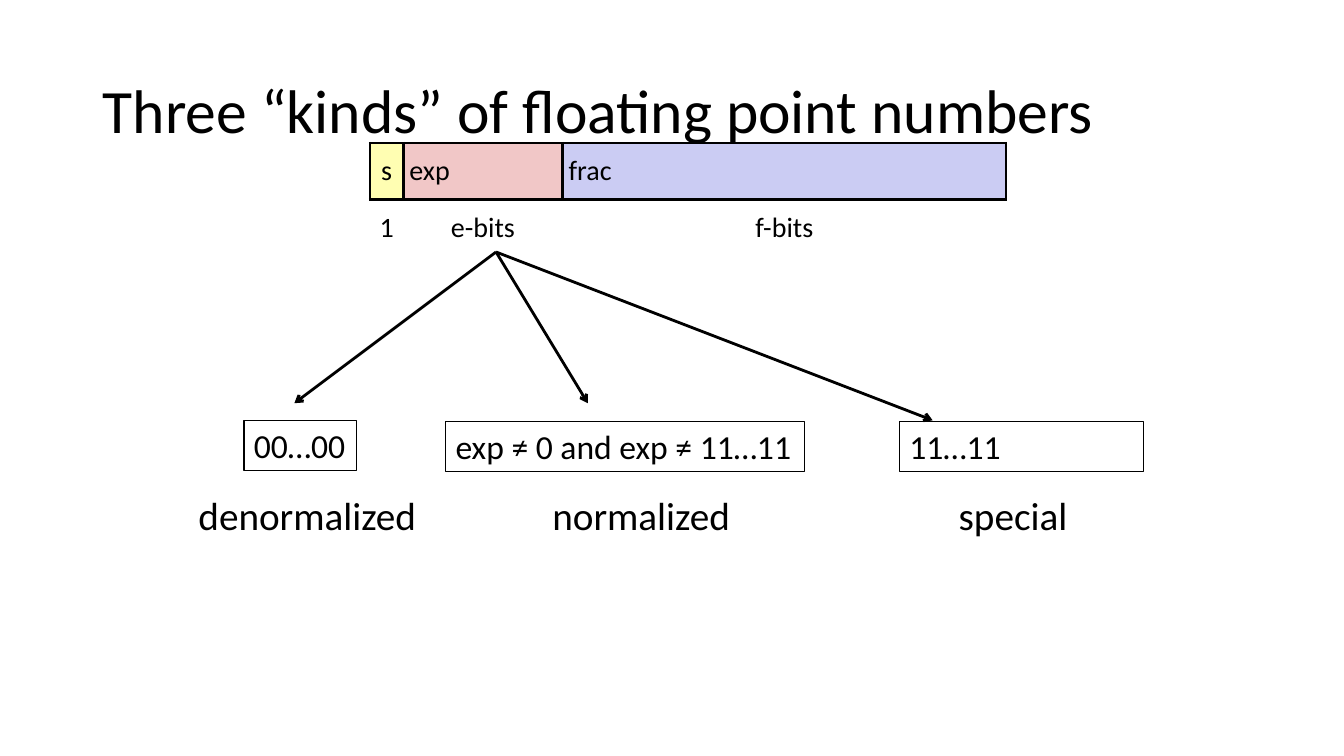
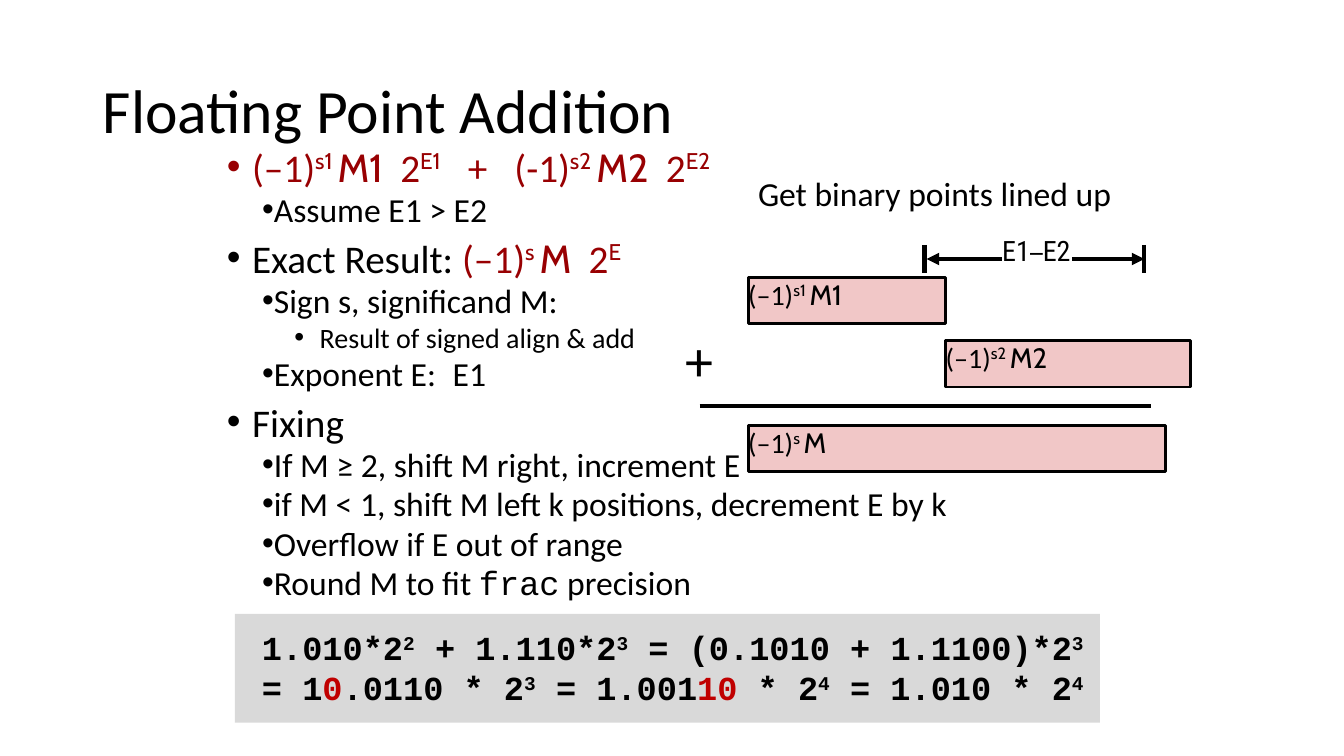
from lxml import etree
from pptx import Presentation
from pptx.chart import data as _unused_chart_data  # noqa: F401
from pptx.dml.color import RGBColor
from pptx.enum import shapes, text
from pptx.oxml.ns import qn
from pptx.util import Emu, Inches, Pt

COLORS = {
    "ink": "000000", "paper": "FFFFFF", "formula": "980002", "accent": "C00000",
    "sign": "FFFEB2", "exponent": "F1C7C7", "fraction": "CBCCF3", "panel": "D9D9D9",
}
BASE_FONT = "Calibri"
TITLE_BOX = (0.92, 0.4, 11.5, 1.45)

# Run formats used inside formulas
SUPER = dict(font="Cabin", baseline=32)
VARIABLE = dict(font="Cabin")
POWER = dict(baseline=30)
ACCENT = dict(color="accent")

# Body levels: text size, left margin, first-line indent, space before
LEVELS = [(28, 0.25, -0.25, 10), (24, 0.35, 0, 5), (20, 0.92, -0.25, 5)]


def rgb(name):
    return RGBColor.from_string(COLORS[name])


def inches(*lengths):
    return [Inches(length) for length in lengths]


# Text
def add_text(paragraph, content, size=24, font=BASE_FONT, color="ink",
             bold=False, baseline=0, spacing=0, align=None):
    """Write a string, or a list of strings and (string, format) pairs."""
    base = dict(size=size, font=font, color=color, bold=bold,
                baseline=baseline, spacing=spacing)
    paragraph.alignment = align
    for piece in [content] if isinstance(content, str) else content:
        words, changes = (piece, {}) if isinstance(piece, str) else piece
        style = {**base, **changes}
        run = paragraph.add_run()
        run.text = words
        run.font.size = Pt(style["size"])
        run.font.name = style["font"]
        run.font.bold = style["bold"]
        run.font.color.rgb = rgb(style["color"])
        properties = run._r.get_or_add_rPr()
        if style["baseline"]:
            properties.set("baseline", str(style["baseline"] * 1000))
        if style["spacing"]:
            properties.set("spc", str(style["spacing"] * 100))


def set_frame(frame, wrap=True, margin=None, grow=False):
    frame.word_wrap = wrap
    frame.vertical_anchor = text.MSO_ANCHOR.TOP
    frame.auto_size = (text.MSO_AUTO_SIZE.SHAPE_TO_FIT_TEXT if grow
                       else text.MSO_AUTO_SIZE.NONE)
    if margin is not None:
        frame.margin_left = frame.margin_right = Inches(margin)
        frame.margin_top = frame.margin_bottom = Inches(margin)


def add_label(slide, box, *lines, wrap=False, margin=None, **fmt):
    label = slide.shapes.add_textbox(*inches(*box))
    frame = label.text_frame
    set_frame(frame, wrap, margin, grow=True)
    for number, line in enumerate(lines):
        add_text(frame.add_paragraph() if number else frame.paragraphs[0], line, **fmt)


def add_title(slide, words):
    title = slide.shapes.title
    title.left, title.top, title.width, title.height = inches(*TITLE_BOX)
    set_frame(title.text_frame)
    title.text_frame.vertical_anchor = text.MSO_ANCHOR.MIDDLE
    paragraph = title.text_frame.paragraphs[0]
    paragraph.line_spacing = 0.9
    add_text(paragraph, words, size=44, align=text.PP_ALIGN.LEFT)


def add_bullets(slide, box, items, tab=2.24):
    body = slide.placeholders[1]
    body.left, body.top, body.width, body.height = inches(*box)
    frame = body.text_frame
    set_frame(frame)
    for number, (level, content) in enumerate(items):
        paragraph = frame.add_paragraph() if number else frame.paragraphs[0]
        size, margin, indent, before = LEVELS[level]
        paragraph.level = level
        paragraph.line_spacing = 0.8
        paragraph.space_before = Pt(before)
        add_text(paragraph, content, size=size)
        properties = paragraph._p.get_or_add_pPr()
        properties.set("marL", str(Inches(margin)))
        properties.set("indent", str(Inches(indent)))
        etree.SubElement(properties, qn("a:buFont"), typeface="Arial")
        etree.SubElement(properties, qn("a:buChar"), char="•")
        tabs = etree.SubElement(properties, qn("a:tabLst"))
        etree.SubElement(tabs, qn("a:tab"), pos=str(Inches(tab)), algn="l")


# Shapes and lines
def add_box(slide, box, content="", fill=None, line=None, wrap=True,
            margin=None, grow=False, **fmt):
    shape = slide.shapes.add_shape(shapes.MSO_SHAPE.RECTANGLE, *inches(*box))
    shape.shadow.inherit = False
    if fill:
        shape.fill.solid()
        shape.fill.fore_color.rgb = rgb(fill)
    else:
        shape.fill.background()
    if line:
        shape.line.color.rgb = rgb("ink")
        shape.line.width = Pt(line)
    else:
        shape.line.fill.background()
    if content:
        set_frame(shape.text_frame, wrap, margin, grow)
        add_text(shape.text_frame.paragraphs[0], content,
                 align=text.PP_ALIGN.LEFT, **fmt)


def add_line(slide, start, end, width=3, head=None, tail=None):
    line = slide.shapes.add_connector(shapes.MSO_CONNECTOR.STRAIGHT,
                                      *inches(*start, *end))
    line.line.color.rgb = rgb("ink")
    line.line.width = Pt(width)
    properties = line._element.spPr
    outline = properties.find(qn("a:ln"))
    for tag, kind in (("a:headEnd", head), ("a:tailEnd", tail)):
        if kind:
            etree.SubElement(outline, qn(tag), type=kind)
    etree.SubElement(properties, qn("a:effectLst"))


# Table
def set_borders(cell, sides, width=2):
    """Draw the named sides (out of L, R, T, B) and clear the others."""
    properties = cell._tc.get_or_add_tcPr()
    for side in "LRTB":
        border = etree.SubElement(properties, qn(f"a:ln{side}"), w=str(Pt(width)))
        if side in sides:
            solid = etree.SubElement(border, qn("a:solidFill"))
            etree.SubElement(solid, qn("a:srgbClr"), val=COLORS["ink"])
        else:
            etree.SubElement(border, qn("a:noFill"))


def add_bit_layout(slide, left, top, row_height, fields):
    """Fields are (name, bit count, width, fill, alignment of the name)."""
    total = sum(field[2] for field in fields)
    table = slide.shapes.add_table(
        2, len(fields), *inches(left, top, total, 2 * row_height)).table
    table.first_row = table.horz_banding = False
    for column, (name, bits, width, fill, align) in enumerate(fields):
        table.columns[column].width = Inches(width)
        for row, words in enumerate((name, bits)):
            cell = table.cell(row, column)
            set_borders(cell, "T" if row else "LRTB")
            if row:
                cell.fill.background()
            else:
                cell.fill.solid()
                cell.fill.fore_color.rgb = rgb(fill)
            cell.vertical_anchor = text.MSO_ANCHOR.MIDDLE
            cell.margin_left = cell.margin_right = Inches(0.06)
            cell.margin_top = cell.margin_bottom = Inches(0.06)
            add_text(cell.text_frame.paragraphs[0], words, size=20,
                     align=text.PP_ALIGN.CENTER if row else align)


# Formulas
def significand(index="", sign="(–1)"):
    return [sign, (f"s{index} ", SUPER), (f"M{index}", VARIABLE)]


def number_term(index="", sign="(–1)"):
    return significand(index, sign) + [
        (" ", dict(spacing=6)), "2", (f"E{index}", SUPER)]


def colored(runs, color):
    pairs = [(run, {}) if isinstance(run, str) else run for run in runs]
    return [(words, {**fmt, "color": color}) for words, fmt in pairs]


def build_kinds(prs):
    slide = prs.slides.add_slide(prs.slide_layouts[5])
    add_title(slide, "Three “kinds” of floating point numbers")
    left, center = text.PP_ALIGN.LEFT, text.PP_ALIGN.CENTER
    add_bit_layout(slide, 3.67, 1.42, 0.56, [
        ("s", "1", 0.33, "sign", center),
        ("exp", "e-bits", 1.58, "exponent", left),
        ("frac", "f-bits", 4.4, "fraction", left),
    ])
    # One branch per kind: arrow tip, pattern box, name box
    kinds = [
        ((2.92, 4), "00…00", (2.42, 4.17, 1.12, 0.5), "denormalized", 1.87, 2.38),
        ((5.83, 4), "exp ≠ 0 and exp ≠ 11…11", (4.42, 4.18, 3.56, 0.5),
         "normalized", 5.38, 1.98),
        ((9.25, 4.17), "11…11", (8.92, 4.18, 2.42, 0.5), "special", 9.41, 1.29),
    ]
    for tip, pattern, box, name, name_left, name_width in kinds:
        add_line(slide, (4.92, 2.5), tip, width=2, tail="arrow")
        add_box(slide, box, pattern, line=0.75, wrap=name == "special", grow=True)
        add_label(slide, (name_left, 4.83, name_width, 0.57), name, size=28)


def build_addition(prs):
    slide = prs.slides.add_slide(prs.slide_layouts[1])
    add_title(slide, "Floating Point Addition")
    gap = (" ", dict(spacing=13))
    total = number_term(1) + [gap, "+", gap] + number_term(2, "(-1)")
    add_bullets(slide, (2.15, 1.46, 9.17, 4.75), [
        (0, colored(total, "formula")),
        (1, "Assume E1 > E2"),
        (0, ["Exact Result: "] + colored(number_term(), "formula")),
        (1, "Sign s, significand M:"),
        (2, "Result of signed align & add"),
        (1, "Exponent E: \tE1"),
        (0, "Fixing"),
        (1, "If M ≥ 2, shift M right, increment E"),
        (1, "if M < 1, shift M left k positions, decrement E by k"),
        (1, "Overflow if E out of range"),
        (1, ["Round M to fit ", ("frac", dict(font="Courier New")), " precision"]),
    ])

    # Aligned significands and their sum
    for index, left, top, width in ((1, 7.42, 2.75, 1.96), (2, 9.38, 3.38, 2.43),
                                    ("", 7.42, 4.22, 4.14)):
        add_box(slide, (left, top, width, 0.46), significand(index),
                fill="exponent", line=2, margin=0, size=20)
    add_label(slide, (6.8, 3.23, 0.28, 0.67), "+", margin=0, size=40)
    add_line(slide, (6.94, 4.03), (11.42, 4.03))
    add_label(slide, (7.42, 1.67, 3.77, 0.5), "Get binary points lined up")

    # Shift distance
    for end in (9.17, 11.35):
        add_line(slide, (end, 2.43), (end, 2.71))
    add_line(slide, (9.19, 2.57), (11.35, 2.57), head="triangle", tail="triangle")
    add_box(slide, (9.94, 2.32, 0.69, 0.34),
            ["E1", ("–", dict(font="Arial Narrow")), "E2"], fill="paper",
            wrap=False, margin=0, grow=True, size=20, font="Roboto Condensed")

    # Worked example
    add_box(slide, (2.33, 6.09, 8.58, 1.08), fill="panel")
    add_label(
        slide, (2.5, 6.17, 8.67, 0.91),
        ["1.010*2", ("2", POWER), " + 1.110*2", ("3", POWER),
         " = (0.1010 + 1.1100)*2", ("3", POWER)],
        ["= 1", ("0", ACCENT), ".0110 * 2", ("3", POWER), " = 1.001",
         ("10", ACCENT), " * 2", ("4", POWER), " = 1.010 * 2", ("4", POWER)],
        font="Courier New", bold=True)


def main():
    prs = Presentation()
    prs.slide_width, prs.slide_height = inches(13.33, 7.5)
    build_kinds(prs)
    build_addition(prs)
    prs.save("out.pptx")


if __name__ == "__main__":
    main()
